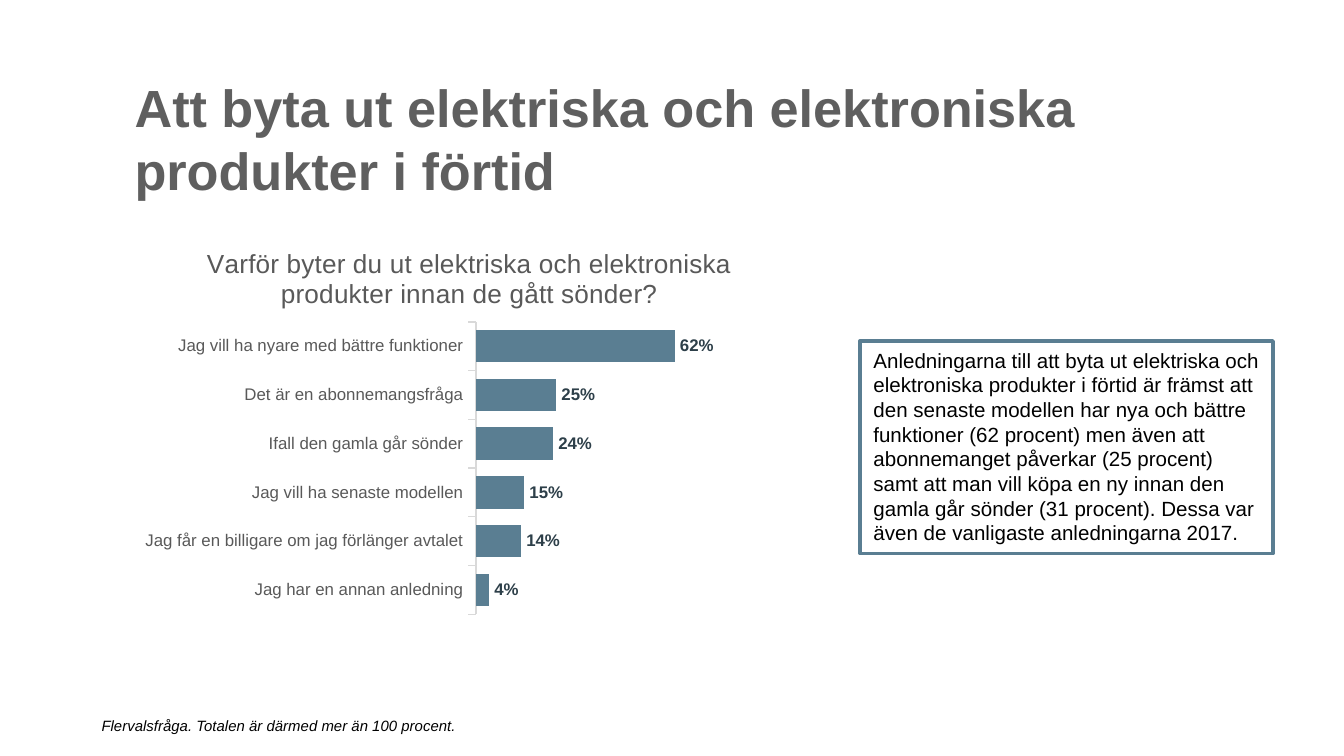
from dataclasses import dataclass

from lxml import etree
from pptx import Presentation
from pptx.chart.data import CategoryChartData
from pptx.dml.color import RGBColor
from pptx.enum.chart import XL_CHART_TYPE, XL_LABEL_POSITION, XL_TICK_MARK
from pptx.enum.shapes import MSO_SHAPE
from pptx.enum.text import MSO_ANCHOR, MSO_AUTO_SIZE, PP_ALIGN
from pptx.oxml import parse_xml
from pptx.oxml.ns import nsdecls, qn
from pptx.util import Pt

BAR = XL_CHART_TYPE.BAR_CLUSTERED
OUTSIDE_END = XL_LABEL_POSITION.OUTSIDE_END
TICK_OUTSIDE = XL_TICK_MARK.OUTSIDE
RECTANGLE = MSO_SHAPE.RECTANGLE
TOP = MSO_ANCHOR.TOP
FIT_SHAPE = MSO_AUTO_SIZE.SHAPE_TO_FIT_TEXT
NO_FIT = MSO_AUTO_SIZE.NONE
LEFT = PP_ALIGN.LEFT


@dataclass(frozen=True)
class Theme:
    font: str = "Arial"
    heading: str = "5F5F5F"
    accent: str = "5A7E92"
    axis_text: str = "595959"
    axis_line: str = "D9D9D9"
    value_text: str = "2D3F49"
    body: str = "000000"
    paper: str = "FFFFFF"
    heading_size: float = 28
    chart_title_size: float = 14
    body_size: float = 11
    chart_size: float = 10
    label_size: float = 9
    note_size: float = 8


@dataclass(frozen=True)
class Box:
    left: float
    top: float
    width: float
    height: float

    def lengths(self) -> tuple:
        return Pt(self.left), Pt(self.top), Pt(self.width), Pt(self.height)


@dataclass(frozen=True)
class TextBlock:
    box: Box
    text: str
    size: float
    color: str
    bold: bool = False
    italic: bool = False
    wrap: bool = True
    grow: bool = True
    framed: bool = False


@dataclass(frozen=True)
class Reason:
    label: str
    share: float


THEME = Theme()

TEXT_BLOCKS = (
    TextBlock(Box(65, 36.7, 578, 85),
              "Att byta ut elektriska och elektroniska produkter i förtid",
              THEME.heading_size, THEME.heading, bold=True, grow=False),
    TextBlock(Box(460.8, 182.7, 221.2, 113.8),
              "Anledningarna till att byta ut elektriska och elektroniska produkter i förtid "
              "är främst att den senaste modellen har nya och bättre funktioner (62 procent) "
              "men även att abonnemanget påverkar (25 procent) samt att man vill köpa en ny "
              "innan den gamla går sönder (31 procent). Dessa var även de vanligaste "
              "anledningarna 2017.",
              THEME.body_size, THEME.body, framed=True),
    TextBlock(Box(47.3, 380.4, 209.5, 17),
              "Flervalsfråga. Totalen är därmed mer än 100 procent.",
              THEME.note_size, THEME.body, italic=True, wrap=False),
)

CHART_BOX = Box(69, 121.7, 365, 211.7)
PLOT_AREA = {"x": 0.51, "y": 0.24, "w": 0.47, "h": 0.74}
QUESTION = "Varför byter du ut elektriska och elektroniska produkter innan de gått sönder?"
REASONS = (
    Reason("Jag har en annan anledning", 0.04),
    Reason("Jag får en billigare om jag förlänger avtalet", 0.14),
    Reason("Jag vill ha senaste modellen", 0.15),
    Reason("Ifall den gamla går sönder", 0.24),
    Reason("Det är en abonnemangsfråga", 0.25),
    Reason("Jag vill ha nyare med bättre funktioner", 0.62),
)


def style_font(font, size: float, color: str, bold: bool = False, italic: bool = False) -> None:
    font.name = THEME.font
    font.size = Pt(size)
    font.bold = bold
    font.italic = italic
    font.color.rgb = RGBColor.from_string(color)


def add_text(slide, block: TextBlock) -> None:
    if block.framed:
        holder = slide.shapes.add_shape(RECTANGLE, *block.box.lengths())
        holder.shadow.inherit = False
        holder.fill.solid()
        holder.fill.fore_color.rgb = RGBColor.from_string(THEME.paper)
        holder.line.color.rgb = RGBColor.from_string(THEME.accent)
        holder.line.width = Pt(2)
    else:
        holder = slide.shapes.add_textbox(*block.box.lengths())
    frame = holder.text_frame
    frame.word_wrap = block.wrap
    frame.auto_size = FIT_SHAPE if block.grow else NO_FIT
    frame.vertical_anchor = TOP
    paragraph = frame.paragraphs[0]
    paragraph.alignment = LEFT
    run = paragraph.add_run()
    run.text = block.text
    style_font(run.font, block.size, block.color, block.bold, block.italic)


def fix_plot_area(chart) -> None:
    """Give the inner plot area a fixed place, as fractions of the chart."""
    plot_area = chart.plots[0]._element.getparent()
    for automatic in plot_area.findall(qn("c:layout")):
        plot_area.remove(automatic)
    layout = parse_xml(f"<c:layout {nsdecls('c')}><c:manualLayout/></c:layout>")
    settings = {"layoutTarget": "inner", "xMode": "edge", "yMode": "edge", **PLOT_AREA}
    for tag, value in settings.items():
        etree.SubElement(layout[0], qn(f"c:{tag}")).set("val", str(value))
    plot_area.insert(0, layout)


def add_reason_chart(slide) -> None:
    data = CategoryChartData(number_format="0%")
    data.categories = [reason.label for reason in REASONS]
    data.add_series("Series 1", [reason.share for reason in REASONS])
    chart = slide.shapes.add_chart(BAR, *CHART_BOX.lengths(), data).chart
    style_font(chart.font, THEME.chart_size, THEME.body)
    chart.has_legend = False

    chart.has_title = True
    chart.chart_title.include_in_layout = False
    title_run = chart.chart_title.text_frame.paragraphs[0].add_run()
    title_run.text = QUESTION
    style_font(title_run.font, THEME.chart_title_size, THEME.axis_text)

    reasons_axis = chart.category_axis
    reasons_axis.major_tick_mark = TICK_OUTSIDE
    reasons_axis.has_major_gridlines = False
    style_font(reasons_axis.tick_labels.font, THEME.label_size, THEME.axis_text)
    reasons_axis.format.line.color.rgb = RGBColor.from_string(THEME.axis_line)
    reasons_axis.format.line.width = Pt(0.75)

    share_axis = chart.value_axis
    share_axis.minimum_scale = 0
    share_axis.maximum_scale = 1
    share_axis.major_unit = 1
    share_axis.has_major_gridlines = False
    share_axis.tick_labels.number_format = "0%"
    share_axis.tick_labels.number_format_is_linked = False
    share_axis.visible = False

    plot = chart.plots[0]
    plot.gap_width = 50
    plot.vary_by_categories = False
    shares = plot.series[0]
    shares.format.fill.solid()
    shares.format.fill.fore_color.rgb = RGBColor.from_string(THEME.accent)
    labels = shares.data_labels
    labels.show_value = True
    labels.number_format = "0%"
    labels.number_format_is_linked = False
    labels.position = OUTSIDE_END
    style_font(labels.font, THEME.label_size, THEME.value_text, bold=True)
    fix_plot_area(chart)


def main() -> None:
    presentation = Presentation()
    presentation.slide_width = Pt(720)
    presentation.slide_height = Pt(405)
    slide = presentation.slides.add_slide(presentation.slide_layouts[6])
    for block in TEXT_BLOCKS:
        add_text(slide, block)
    add_reason_chart(slide)
    presentation.save("out.pptx")


if __name__ == "__main__":
    main()
